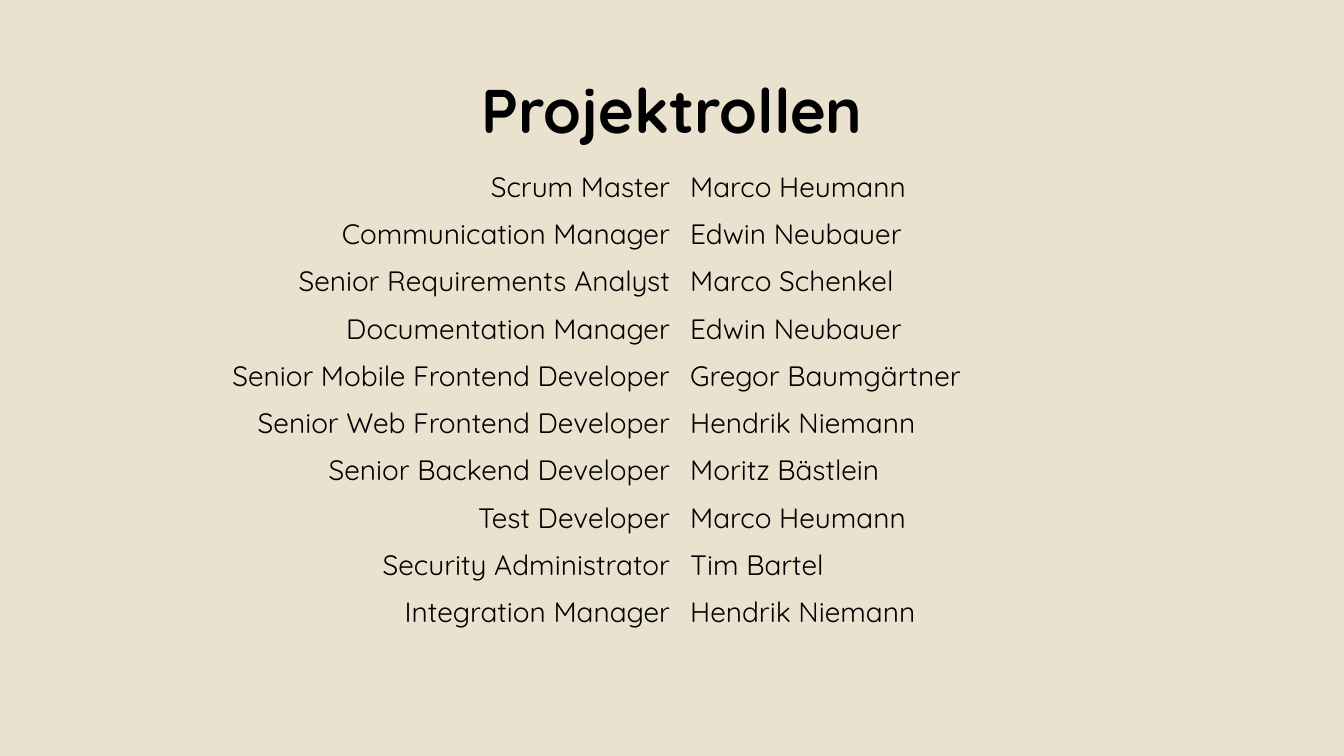
import pptx
import pptx.util
import pptx.dml.color
import pptx.enum.text
from pptx.util import Pt

ALIGN = pptx.enum.text.PP_ALIGN
FONT = "Quicksand"
COLORS = {"sand": "EAE2CE", "ink": "000000"}
PLAIN = "{2D5ABB26-0587-4C30-8999-92F81FD0307C}"  # table style without grid

ROLES = [
    ("Scrum Master", "Marco Heumann"),
    ("Communication Manager", "Edwin Neubauer"),
    ("Senior Requirements Analyst", "Marco Schenkel"),
    ("Documentation Manager", "Edwin Neubauer"),
    ("Senior Mobile Frontend Developer", "Gregor Baumgärtner"),
    ("Senior Web Frontend Developer", "Hendrik Niemann"),
    ("Senior Backend Developer", "Moritz Bästlein"),
    ("Test Developer", "Marco Heumann"),
    ("Security Administrator", "Tim Bartel"),
    ("Integration Manager", "Hendrik Niemann"),
]


def color(name):
    return pptx.dml.color.RGBColor.from_string(COLORS[name])


def write(frame, text, size, align, bold=False):
    para = frame.paragraphs[0]
    para.text = text
    para.alignment = align
    font = para.font
    font.name, font.size, font.bold = FONT, Pt(size), bold
    font.color.rgb = color("ink")
    return para


def add_title(slide, text, left, top, width, height):
    frame = slide.shapes.add_textbox(Pt(left), Pt(top), Pt(width), Pt(height)).text_frame
    frame.word_wrap = True
    frame.vertical_anchor = pptx.enum.text.MSO_ANCHOR.MIDDLE
    write(frame, text, 44, ALIGN.CENTER, True).line_spacing = 0.9


def add_roles(slide, roles, left, top, width, height):
    grid = slide.shapes.add_table(
        len(roles), 2, Pt(left), Pt(top), Pt(width), Pt(height)).table
    grid.first_row = grid.horz_banding = False
    grid._tbl.tblPr.find(pptx.oxml.ns.qn("a:tableStyleId")).text = PLAIN
    # Roles meet people at the middle line
    for row, pair in enumerate(roles):
        for col, align in enumerate((ALIGN.RIGHT, ALIGN.LEFT)):
            cell = grid.cell(row, col)
            cell.fill.background()
            write(cell.text_frame, pair[col], 20, align)


deck = pptx.Presentation()
deck.slide_width, deck.slide_height = Pt(960), Pt(540)
slide = deck.slides.add_slide(deck.slide_layouts[6])
back = slide.background.fill
back.solid()
back.fore_color.rgb = color("sand")

add_title(slide, "Projektrollen", 66, 28.75, 828, 104.4)
add_roles(slide, ROLES, 44.8, 117.4, 882, 337.5)
deck.save("out.pptx")
